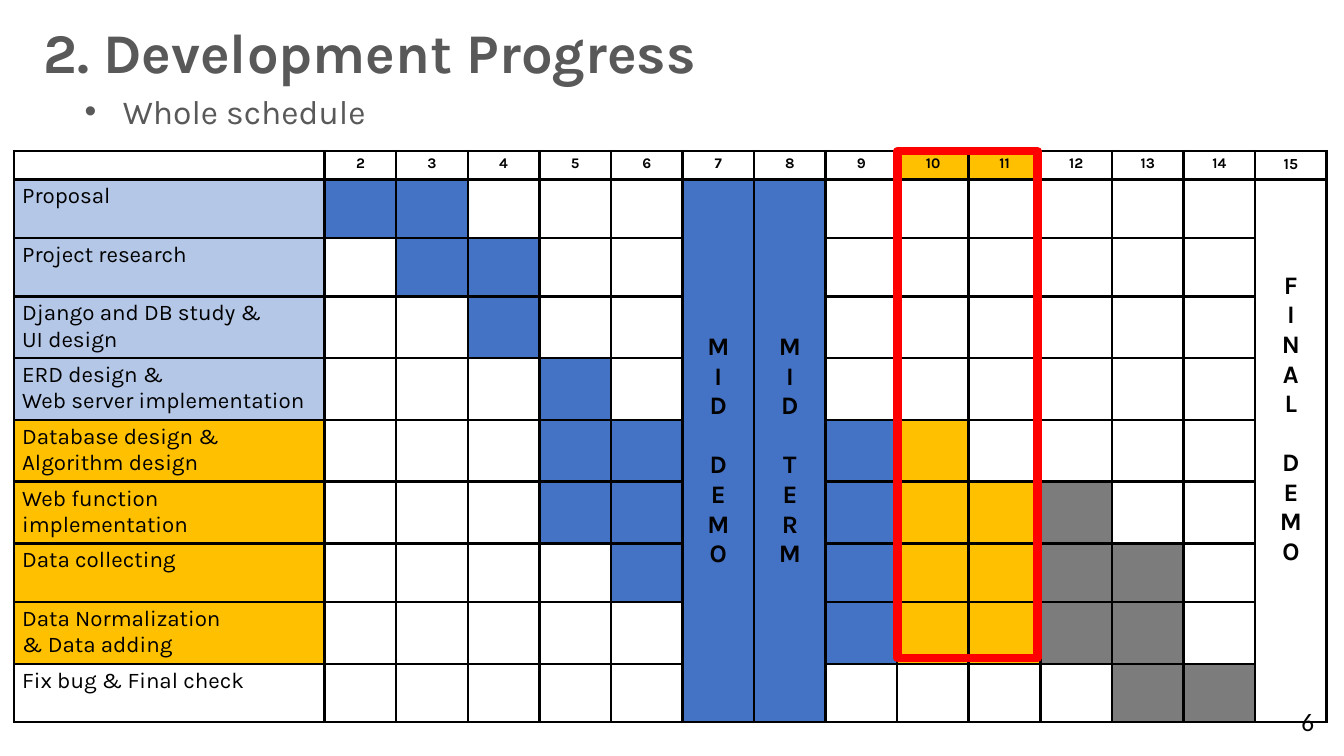
from lxml.etree import SubElement
from pptx import Presentation
from pptx.dml.color import RGBColor
from pptx.enum.shapes import MSO_SHAPE as Shape
from pptx.enum.text import MSO_ANCHOR as Anchor, PP_ALIGN as Align
from pptx.oxml.ns import qn
from pptx.util import Inches, Pt

BLACK, WHITE, TITLE_GREY = "000000", "FFFFFF", "595959"
BLUE, PALE_BLUE, AMBER, GREY = "4472C4", "B4C7E7", "FFC000", "7C7C7C"


def paint(color_format, color):
    color_format.rgb = RGBColor.from_string(color)


def write(frame, text, size=18, font="Karla", color=BLACK, bold=False,
          align=Align.LEFT, gap_before=()):
    """Write one paragraph per line; gap_before lists lines set one line lower."""
    for number, line in enumerate(text.split("\n")):
        para = frame.paragraphs[0] if number == 0 else frame.add_paragraph()
        para.alignment = align
        if number in gap_before:
            para.space_before = Pt(21)
        span = para.add_run()
        span.text = line
        span.font.name, span.font.size, span.font.bold = font, Pt(size), bold
        paint(span.font.color, color)


deck = Presentation()
deck.slide_width, deck.slide_height = Inches(13.33), Inches(7.5)
page = deck.slides.add_slide(deck.slide_layouts[6])

# Subtitle with bullet
subtitle = page.shapes.add_textbox(Inches(0.74), Inches(0.85), Inches(12.59), Inches(0.5))
subtitle.text_frame.word_wrap = True
write(subtitle.text_frame, "Whole schedule", size=24, color=TITLE_GREY)
bullet_format = subtitle.text_frame.paragraphs[0]._p.get_or_add_pPr()
bullet_format.set("marL", str(Inches(0.38)))
bullet_format.set("indent", str(-Inches(0.38)))
SubElement(bullet_format, qn("a:buFont"), typeface="Arial")
SubElement(bullet_format, qn("a:buChar"), char="•")

# Schedule: task, label colour, weeks of work
tasks = [
    ("Proposal", PALE_BLUE, [2, 3]),
    ("Project research", PALE_BLUE, [3, 4]),
    ("Django and DB study &\nUI design", PALE_BLUE, [4]),
    ("ERD design &\nWeb server implementation", PALE_BLUE, [5]),
    ("Database design & Algorithm design", AMBER, [5, 6, 9, 10]),
    ("Web function implementation", AMBER, [5, 6, 9, 10, 11, 12]),
    ("Data collecting", AMBER, [6, 9, 10, 11, 12, 13]),
    ("Data Normalization\n& Data adding", AMBER, [9, 10, 11, 12, 13]),
    ("Fix bug & Final check", WHITE, [13, 14]),
]
weeks = range(2, 16)
current_weeks = (10, 11)
milestones = {7: ("MID", "DEMO", BLUE), 8: ("MID", "TERM", BLUE), 15: ("FINAL", "DEMO", WHITE)}
row_heights = [0.28, 0.58, 0.58, 0.6, 0.6, 0.6, 0.6, 0.58, 0.6, 0.58]

# Table grid
table = page.shapes.add_table(len(tasks) + 1, len(weeks) + 1, Inches(0.14), Inches(1.5),
                              Inches(13.02), Inches(5.6)).table
table.horz_banding = False
for column in table.columns:
    column.width = Inches(0.71)
table.columns[0].width = Inches(3.08)
for row, height in zip(table.rows, row_heights):
    row.height = Inches(height)

# Cell borders, margins and fills
for row_index in range(len(tasks) + 1):
    for column_index in range(len(weeks) + 1):
        cell = table.cell(row_index, column_index)
        cell.margin_left = cell.margin_right = Inches(0.08)
        cell.margin_top = cell.margin_bottom = Inches(0.04)
        week = column_index + 1
        for side in "LRTB":
            heavy = (side == "R" and week in (4, 10)) or (side == "L" and week in (5, 11))
            border = SubElement(cell._tc.get_or_add_tcPr(), qn(f"a:ln{side}"),
                                w=str(Pt(2.55 if heavy else 1.98)))
            border_fill = SubElement(border, qn("a:solidFill"))
            SubElement(border_fill, qn("a:srgbClr"), val=BLACK)

        fill = WHITE
        if row_index == 0:
            if week in current_weeks:
                fill = AMBER
        elif column_index == 0:
            fill = tasks[row_index - 1][1]
        elif week in milestones:
            fill = milestones[week][2]
        elif week in tasks[row_index - 1][2]:
            fill = AMBER if week in current_weeks else BLUE if week < 10 else GREY
        cell.fill.solid()
        paint(cell.fill.fore_color, fill)

# Week numbers and task names
SubElement(table.cell(0, 0).text_frame.paragraphs[0]._p, qn("a:endParaRPr"), sz="1050")
for week in weeks:
    write(table.cell(0, week - 1).text_frame, str(week), size=11 if week == 15 else 10.5,
          bold=True, align=Align.CENTER)
for row_index, (task, _, _) in enumerate(tasks, start=1):
    write(table.cell(row_index, 0).text_frame, task, size=16)

# Milestone columns, one letter per line
for week, (first_word, second_word, _) in milestones.items():
    cell = table.cell(1, week - 1)
    cell.merge(table.cell(len(tasks), week - 1))
    if week == 15:
        cell.margin_top = Inches(0.91)
    else:
        cell.vertical_anchor = Anchor.MIDDLE
    write(cell.text_frame, "\n".join(first_word + second_word), bold=True,
          align=Align.CENTER, gap_before=[len(first_word)])

# Page number
page_number = page.shapes.add_textbox(Inches(12.81), Inches(6.96), Inches(0.33), Inches(0.4))
page_number.text_frame.word_wrap = False
write(page_number.text_frame, "6", font="Calibri")

# Title
title = page.shapes.add_textbox(Inches(0.33), Inches(0.12), Inches(7.52), Inches(0.77))
title.text_frame.word_wrap = True
write(title.text_frame, "2. Development Progress", size=40, color=TITLE_GREY, bold=True)

# Frame around the current weeks
current_frame = page.shapes.add_shape(Shape.RECTANGLE, Inches(8.9), Inches(1.5),
                                      Inches(1.39), Inches(5.03))
current_frame.shadow.inherit = False
current_frame.fill.background()
paint(current_frame.line.color, "FF0000")
current_frame.line.width = Pt(6)

deck.save("out.pptx")
